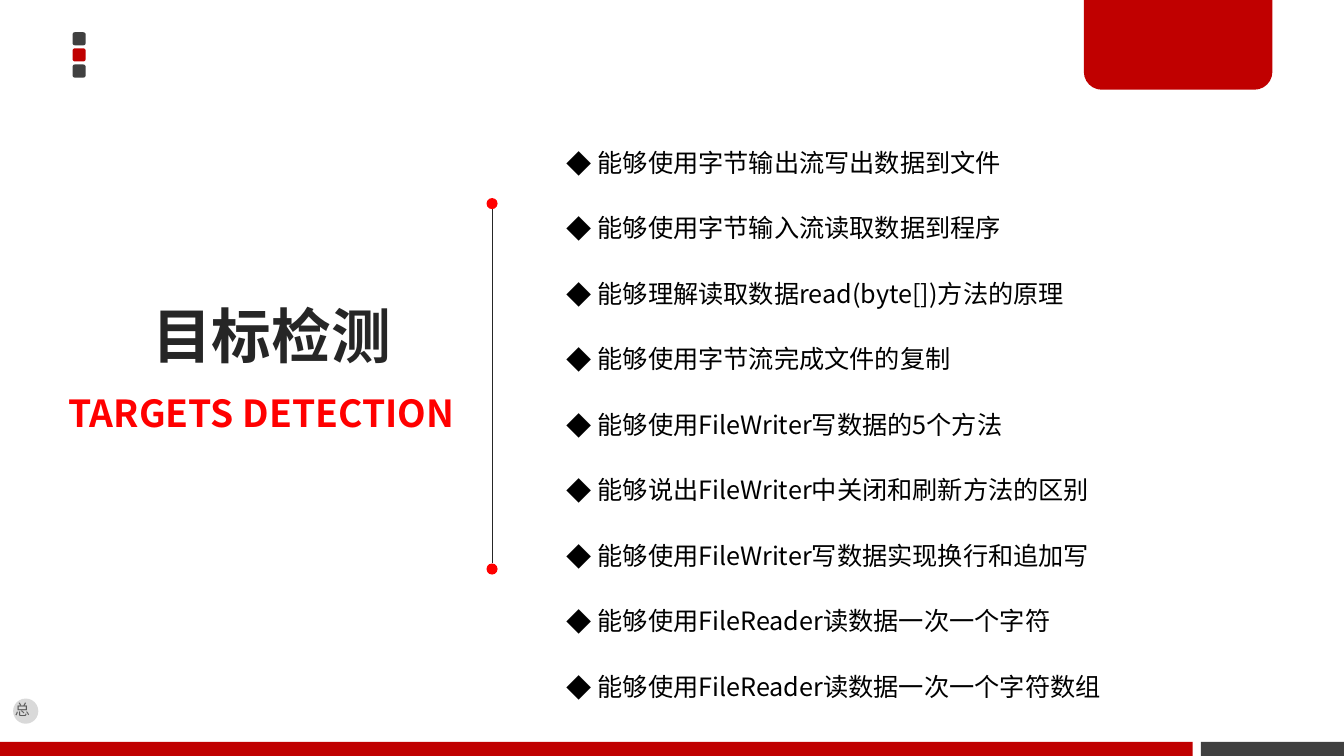
from lxml.etree import SubElement
from pptx import Presentation
from pptx.dml.color import RGBColor
from pptx.enum.shapes import MSO_CONNECTOR, MSO_SHAPE
from pptx.enum.text import MSO_ANCHOR, PP_ALIGN
from pptx.oxml.ns import qn
from pptx.util import Inches, Pt

TITLE = "目标检测"
SUB = "TARGETS DETECTION"
BADGE = "总"
GOALS = [
    "能够使用字节输出流写出数据到文件",
    "能够使用字节输入流读取数据到程序",
    "能够理解读取数据read(byte[])方法的原理",
    "能够使用字节流完成文件的复制",
    "能够使用FileWriter写数据的5个方法",
    "能够说出FileWriter中关闭和刷新方法的区别",
    "能够使用FileWriter写数据实现换行和追加写",
    "能够使用FileReader读数据一次一个字符",
    "能够使用FileReader读数据一次一个字符数组",
]
SC, JP = "Noto Sans CJK SC", "Noto Sans CJK JP"
THEME = {
    "brand": "C00000", "dark": "404040", "ink": "262626",
    "hot": "FF0000", "pale": "D9D9D9",
    "title": dict(size=42.6, color="262626", bold=True, name=SC),
    "sub": dict(size=26.6, color="FF0000", bold=True, name=SC),
    "goal": dict(size=18, color="000000", bold=False, name=JP),
    "badge": dict(size=10.7, color="595959", bold=False, name=SC),
}
WIDE, HIGH = 13.33, 7.5

deck = Presentation()
deck.slide_width, deck.slide_height = Inches(WIDE), Inches(HIGH)
slide = deck.slides.add_slide(deck.slide_layouts[5])
shapes = slide.shapes


def put(kind, box, color, *adj):
    """Add a flat, unlined preset shape."""
    shape = shapes.add_shape(kind, *map(Inches, box))
    shape.shadow.inherit = False
    shape.fill.solid()
    shape.fill.fore_color.rgb = RGBColor.from_string(THEME[color])
    shape.line.fill.background()
    for i, share in enumerate(adj):
        shape.adjustments[i] = share


def write(shape, box, lines, style, frame=None, para=None):
    """Place a text shape, fill it, and format frame, paragraphs and runs."""
    spots = dict(zip(("left", "top", "width", "height"), map(Inches, box)))
    for key, val in spots.items():
        setattr(shape, key, val)
    text = shape.text_frame
    text.text = "\n".join(lines)
    for key, val in {"word_wrap": True, **(frame or {})}.items():
        setattr(text, key, val)
    look = dict(THEME[style])
    color, size = look.pop("color"), look.pop("size")
    for row in text.paragraphs:
        for key, val in (para or {}).items():
            setattr(row, key, val)
        for run in row.runs:
            for key, val in {**look, "size": Pt(size)}.items():
                setattr(run.font, key, val)
            run.font.color.rgb = RGBColor.from_string(color)
            east = SubElement(run._r.get_or_add_rPr(), qn("a:ea"))
            east.set("typeface", look["name"])
    return text


def bullet(row, mark, gap):
    """Give a paragraph a hanging bullet."""
    props = row._p.get_or_add_pPr()
    props.set("marL", str(Inches(gap)))
    props.set("indent", str(-Inches(gap)))
    SubElement(props, qn("a:buFont")).set("typeface", JP)
    SubElement(props, qn("a:buChar")).set("char", mark)


def rule(x, top, end, dot):
    """Draw the upright divider with a dot at each end."""
    line = shapes.add_connector(
        MSO_CONNECTOR.STRAIGHT, *map(Inches, (x, top, x, end)))
    line.line.color.rgb = RGBColor.from_string(THEME["ink"])
    line.line.width = Pt(0.75)
    SubElement(line._element.spPr, qn("a:effectLst"))
    for y in (top, end + dot / 2):
        put(MSO_SHAPE.OVAL, (x - dot / 2, y - dot / 2, dot, dot), "hot")


def box():
    """Add an empty text box."""
    return shapes.add_textbox(0, 0, 0, 0)


# Frame: squares, tab and footer bars
for i, color in enumerate(("dark", "brand", "dark")):
    put(MSO_SHAPE.ROUNDED_RECTANGLE,
        (0.72, 0.32 + 0.16 * i, 0.13, 0.13), color, 0.17)
put(MSO_SHAPE.ROUND_2_SAME_RECTANGLE, (10.75, 0, 1.87, 0.89), "brand", 0, 0.2)
BAR, SPLIT, GAP = 0.14, 11.83, 0.08
put(MSO_SHAPE.RECTANGLE, (0, HIGH - BAR, SPLIT, BAR), "brand")
put(MSO_SHAPE.RECTANGLE,
    (SPLIT + GAP, HIGH - BAR, WIDE - SPLIT - GAP, BAR), "dark")

# Heading and divider
middle = {"vertical_anchor": MSO_ANCHOR.MIDDLE}
write(shapes.title, (1.28, 2.78, 2.83, 1.18), [TITLE], "title", middle,
      {"alignment": PP_ALIGN.CENTER, "line_spacing": 0.9})
write(box(), (0.58, 3.75, 5.04, 0.75), [SUB], "sub", middle,
      {"line_spacing": 0.9})
rule(4.88, 2.02, 5.59, 0.11)

# Goals and badge
goals = write(box(), (5.52, 1.11, 6.3, 6.03), GOALS, "goal", None,
              {"line_spacing": Pt(43.2), "space_before": Pt(3.6)})
for row in goals.paragraphs:
    bullet(row, "◆", 0.31)
put(MSO_SHAPE.OVAL, (0.13, 6.93, 0.25, 0.25), "pale")
write(box(), (0.05, 6.9, 0.42, 0.28), [BADGE], "badge")

deck.save("out.pptx")
